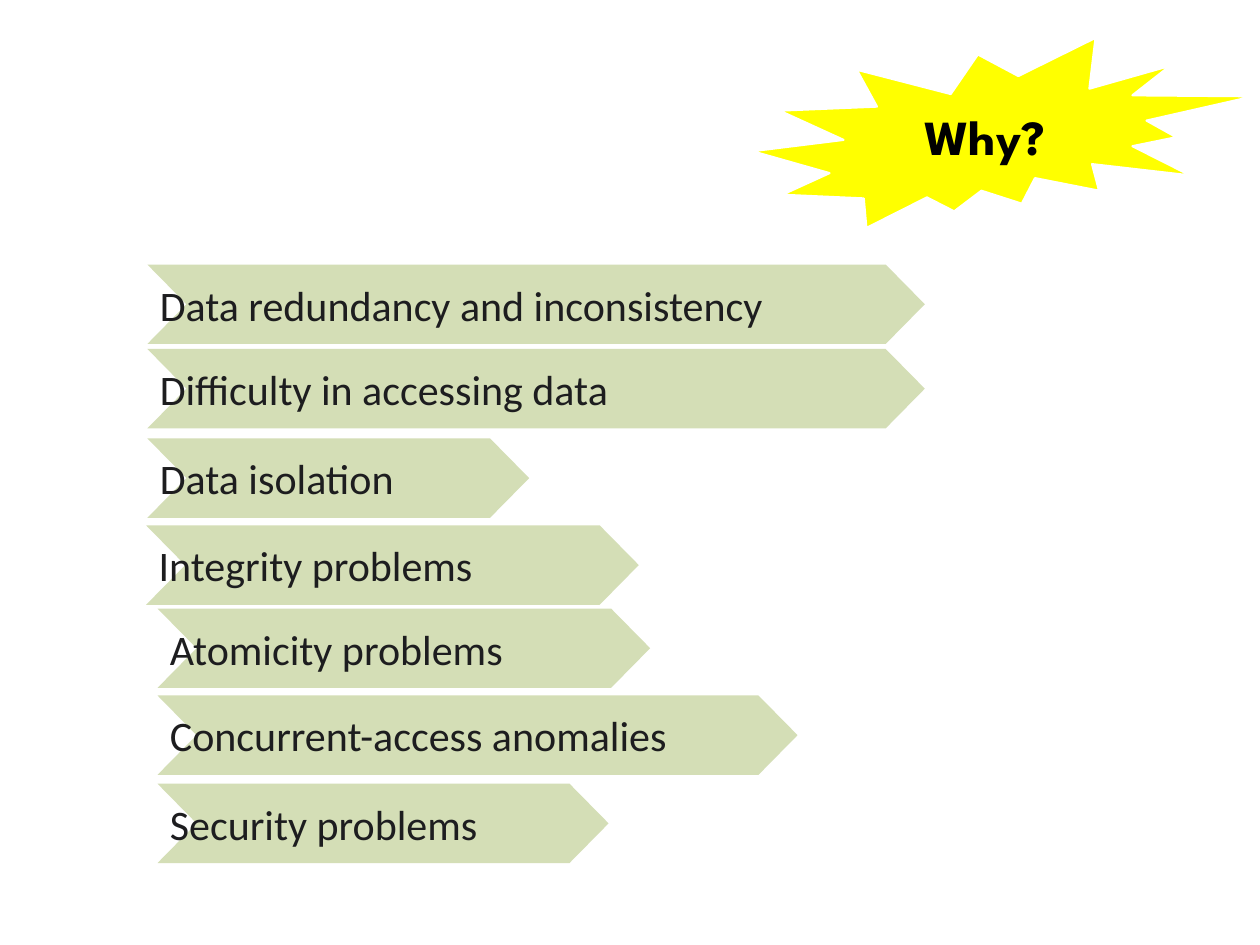
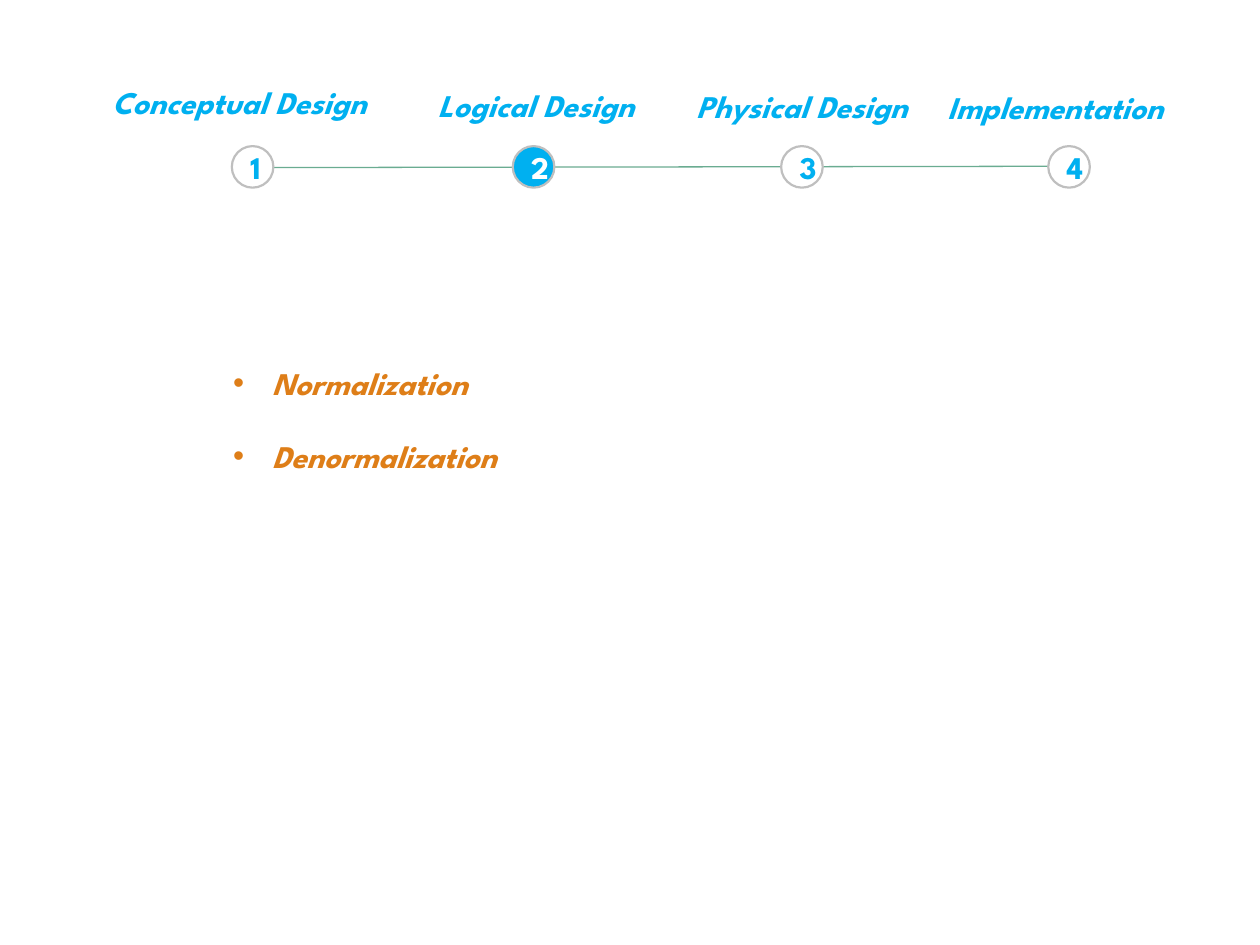
from lxml.etree import SubElement
from pptx import Presentation
from pptx.dml.color import RGBColor
from pptx.enum.shapes import MSO_CONNECTOR, MSO_SHAPE
from pptx.enum.text import MSO_ANCHOR, MSO_AUTO_SIZE, PP_ALIGN
from pptx.oxml.ns import qn
from pptx.util import Inches, Pt

BLACK = RGBColor(0x00, 0x00, 0x00)
WHITE = RGBColor(0xFF, 0xFF, 0xFF)
YELLOW = RGBColor(0xFF, 0xFF, 0x00)
SAGE = RGBColor(0xD4, 0xDE, 0xB6)
INK = RGBColor(0x1D, 0x1D, 0x1F)
BLUE = RGBColor(0x00, 0xB0, 0xF0)
GREY = RGBColor(0xBF, 0xBF, 0xBF)
GREEN = RGBColor(0x6A, 0xAC, 0x91)
ORANGE = RGBColor(0xDE, 0x7E, 0x18)

DISPLAY_FONT = "League Spartan"
BODY_FONT = "Calibri"
CONTENT_LAYOUT, BLANK_LAYOUT = 1, 6

ARROW_HEIGHT = 0.63
ARROW_POINT = 0.31
CIRCLE_SIZE = 0.33
CIRCLE_TOP = 1.16

# text, left, top, width
PROBLEMS = [
    ("Data redundancy and inconsistency", 1.17, 2.1, 6.17),
    ("Difficulty in accessing data", 1.17, 2.77, 6.17),
    ("Data isolation", 1.17, 3.48, 3.03),
    ("Integrity problems", 1.16, 4.17, 3.91),
    ("Atomicity problems", 1.25, 4.83, 3.91),
    ("Concurrent-access anomalies", 1.25, 5.52, 5.08),
    ("Security problems", 1.25, 6.22, 3.58),
]

# label, label left, label top, label width, alignment, circle left
PHASES = [
    ("Conceptual Design", 0.7, 0.61, 2.4, PP_ALIGN.CENTER, 1.84),
    ("Logical Design", 3.3, 0.63, 1.91, PP_ALIGN.CENTER, 4.07),
    ("Physical Design", 5.35, 0.64, 2.03, PP_ALIGN.CENTER, 6.2),
    ("Implementation", 7.42, 0.65, 2.14, PP_ALIGN.LEFT, 8.32),
]
CURRENT_PHASE = 2


class DeckBuilder:
    def __init__(self):
        self.presentation = Presentation()
        self.presentation.slide_width = Inches(10)
        self.presentation.slide_height = Inches(7.5)
        self.slide = None

    def add_slide(self, layout_index):
        layout = self.presentation.slide_layouts[layout_index]
        self.slide = self.presentation.slides.add_slide(layout)

    def style_paragraph(self, paragraph, size, color, font=DISPLAY_FONT,
                        bold=True, italic=False, align=PP_ALIGN.CENTER):
        paragraph.alignment = align
        paragraph.font.name = font
        paragraph.font.size = Pt(size)
        paragraph.font.color.rgb = color
        paragraph.font.bold = bold
        paragraph.font.italic = italic

    def paint(self, shape, fill, line=None):
        shape.shadow.inherit = False
        shape.fill.solid()
        shape.fill.fore_color.rgb = fill
        if line is None:
            shape.line.fill.background()
        else:
            shape.line.color.rgb = line
            shape.line.width = Pt(1.25)

    def add_preset(self, kind, left, top, width, height, text, size, color,
                   fill, line):
        shape = self.slide.shapes.add_shape(
            kind, Inches(left), Inches(top), Inches(width), Inches(height))
        self.paint(shape, fill, line)
        shape.text_frame.text = text
        self.style_paragraph(shape.text_frame.paragraphs[0], size, color)

    def add_arrow_band(self, text, left, top, width):
        """Draw a notched arrow whose text starts at its left edge."""
        right, bottom = left + width, top + ARROW_HEIGHT
        middle = top + ARROW_HEIGHT / 2
        outline = [
            (right - ARROW_POINT, top), (right, middle),
            (right - ARROW_POINT, bottom), (left, bottom),
            (left + ARROW_POINT, middle),
        ]
        builder = self.slide.shapes.build_freeform(Inches(left), Inches(top))
        builder.add_line_segments([(Inches(x), Inches(y)) for x, y in outline])
        shape = builder.convert_to_shape()
        self.paint(shape, SAGE)
        frame = shape.text_frame
        frame.text = text
        frame.vertical_anchor = MSO_ANCHOR.MIDDLE
        self.style_paragraph(frame.paragraphs[0], 24, INK, BODY_FONT,
                             bold=False, align=PP_ALIGN.LEFT)

    def add_label(self, text, left, top, width, align):
        box = self.slide.shapes.add_textbox(
            Inches(left), Inches(top), Inches(width), Inches(0.4))
        frame = box.text_frame
        frame.word_wrap = align == PP_ALIGN.LEFT
        frame.text = text
        self.style_paragraph(frame.paragraphs[0], 18, BLUE, italic=True,
                             align=align)

    def add_line(self, start_x, start_y, end_x, end_y):
        connector = self.slide.shapes.add_connector(
            MSO_CONNECTOR.STRAIGHT, Inches(start_x), Inches(start_y),
            Inches(end_x), Inches(end_y))
        connector.line.color.rgb = GREEN
        connector.line.width = Pt(0.75)
        SubElement(connector._element.spPr, qn("a:effectLst"))

    def fill_list(self, items, left, top, width, height):
        """Fill the body placeholder with bullets; drop the unused title."""
        title = self.slide.shapes.title
        title._element.getparent().remove(title._element)
        body = self.slide.placeholders[1]
        body.left, body.top = Inches(left), Inches(top)
        body.width, body.height = Inches(width), Inches(height)
        frame = body.text_frame
        frame.auto_size = MSO_AUTO_SIZE.NONE
        frame.text = "\n".join(items)
        for index, paragraph in enumerate(frame.paragraphs):
            self.add_bullet(paragraph)
            paragraph.space_before = Pt(20 if index else 0)
            self.style_paragraph(paragraph, 18, ORANGE, italic=True,
                                 align=PP_ALIGN.LEFT)

    def add_bullet(self, paragraph):
        properties = paragraph._p.get_or_add_pPr()
        properties.set("marL", str(Inches(0.31)))
        properties.set("indent", str(-Inches(0.31)))
        color = SubElement(properties, qn("a:buClr"))
        SubElement(color, qn("a:srgbClr"), val=str(ORANGE))
        SubElement(properties, qn("a:buFont"), typeface="Arial")
        SubElement(properties, qn("a:buChar"), char="•")


def build_problems_slide(deck):
    deck.add_slide(BLANK_LAYOUT)
    deck.add_preset(MSO_SHAPE.EXPLOSION2, 5.97, 0.3, 3.98, 1.51,
                    "Why?", 28, BLACK, YELLOW, WHITE)
    for problem in PROBLEMS:
        deck.add_arrow_band(*problem)


def build_phases_slide(deck):
    deck.add_slide(CONTENT_LAYOUT)
    deck.fill_list(["Normalization", "Denormalization"], 1.75, 2.84, 2.65, 0.98)
    first_circle, last_circle = PHASES[0][-1], PHASES[-1][-1]
    deck.add_line(first_circle + CIRCLE_SIZE, 1.33, last_circle, 1.32)
    for number, (*label, circle_left) in enumerate(PHASES, start=1):
        current = number == CURRENT_PHASE
        deck.add_preset(
            MSO_SHAPE.FLOWCHART_CONNECTOR, circle_left, CIRCLE_TOP,
            CIRCLE_SIZE, CIRCLE_SIZE, str(number), 18,
            WHITE if current else BLUE, BLUE if current else WHITE, GREY)
        deck.add_label(*label)


def main():
    deck = DeckBuilder()
    build_problems_slide(deck)
    build_phases_slide(deck)
    deck.presentation.save("out.pptx")


if __name__ == "__main__":
    main()
